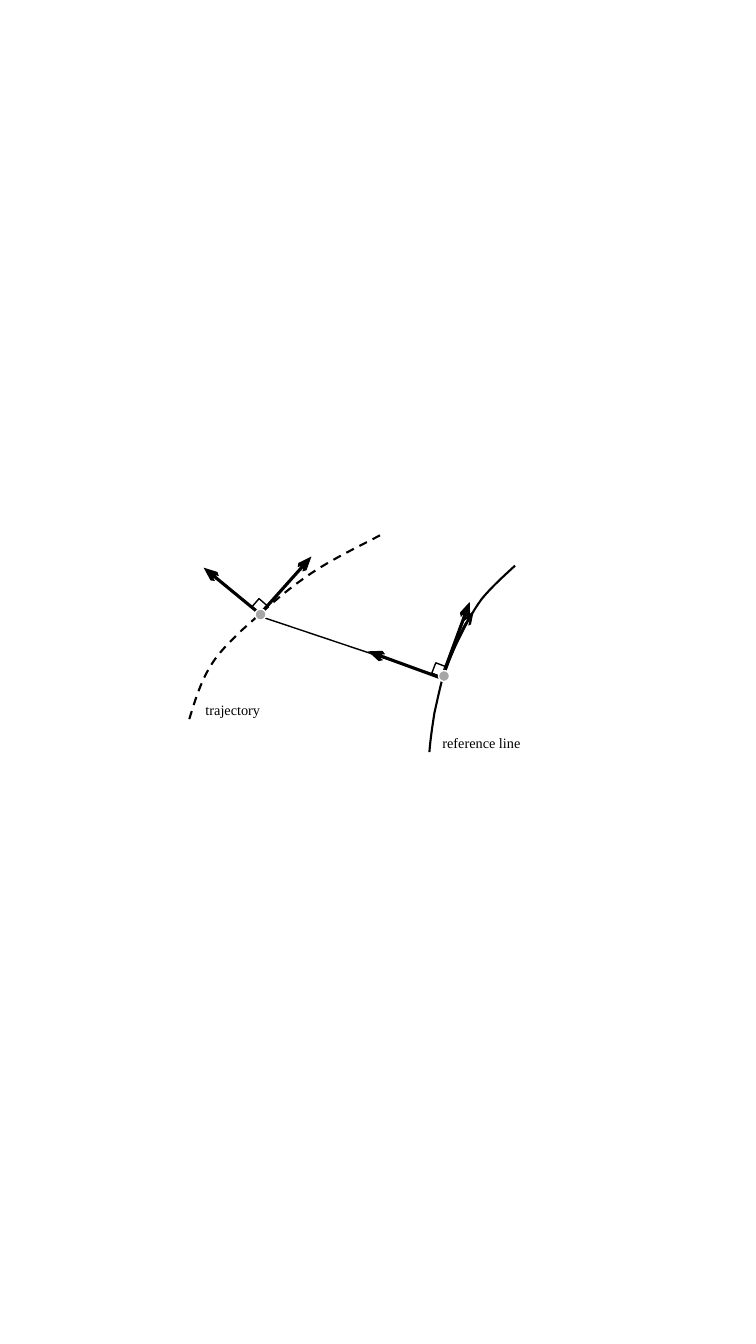
from lxml.etree import SubElement
from pptx import Presentation
from pptx.dml.color import RGBColor
from pptx.enum.dml import MSO_LINE
from pptx.enum.shapes import MSO_CONNECTOR, MSO_SHAPE
from pptx.enum.text import MSO_AUTO_SIZE
from pptx.oxml.ns import qn
from pptx.util import Emu, Pt

BLACK = RGBColor(0x00, 0x00, 0x00)
WHITE = RGBColor(0xFF, 0xFF, 0xFF)
GREY = RGBColor(0xA6, 0xA6, 0xA6)
PX = 9144  # 100 px to the inch
SLIDE_SIZE = (750, 1333)
MARK = 11  # side of the squares and diameter of the dots

# Curves: Bezier points, three for each segment after the start
TRAJECTORY = [(377, 531), (350, 545), (323, 558), (301, 574),
              (278, 590), (256, 611), (240, 625),
              (225, 640), (217, 647), (208, 662),
              (199, 677), (193, 696), (187, 716)]
REFERENCE_LINE = [(511, 561), (499, 572), (487, 583), (478, 594),
                  (469, 606), (462, 620), (456, 632),
                  (450, 644), (446, 654), (441, 666),
                  (437, 679), (434, 694), (431, 707),
                  (429, 720), (427, 733), (426, 746)]
CURVED_ARROW = [(440, 671), (445, 656), (451, 641), (456, 630),
                (461, 620), (465, 613), (470, 606)]

# Straight lines: start, end, width in points, has arrowhead
TRAJECTORY_AXES = [((258, 609), (309, 552), 2.25, True),
                   ((258, 609), (202, 563), 2.25, True)]
REFERENCE_AXES = [((436, 671), (260, 612), 1, False),
                  ((438, 673), (466, 597), 2.25, True),
                  ((439, 673), (365, 646), 2.25, True)]

# Right angle marks: left, top, rotation
TRAJECTORY_ANGLE = (252, 596, 41)
REFERENCE_ANGLE = (430, 659, 21)
DOTS = [(253, 604), (435, 665)]
LABELS = [("reference line", 429, 723, 98, 27),
          ("trajectory", 194, 691, 75, 27)]


def style_line(shape, color, width, arrow=False):
    shape.line.color.rgb = color
    shape.line.width = Pt(width)
    if arrow:
        SubElement(shape.line._get_or_add_ln(), qn("a:tailEnd"),
                   type="arrow", w="med", len="lg")


def add_curve(page, points, arrow=False):
    start, *others = [(x * PX, y * PX) for x, y in points]
    builder = page.shapes.build_freeform(*start)
    builder.add_line_segments(others, close=False)
    curve = builder.convert_to_shape()
    # Join every three straight segments into one Bezier segment
    segments = list(curve._element.iter(qn("a:lnTo")))
    outline = segments[0].getparent()
    for i in range(0, len(segments), 3):
        bezier = SubElement(outline, qn("a:cubicBezTo"))
        for segment in segments[i:i + 3]:
            bezier.append(segment[0])
            outline.remove(segment)
    curve.shadow.inherit = False
    curve.fill.background()
    style_line(curve, BLACK, 1.5, arrow)
    return curve


def add_lines(page, lines):
    for start, end, width, arrow in lines:
        ends = [Emu(value * PX) for value in start + end]
        line = page.shapes.add_connector(MSO_CONNECTOR.STRAIGHT, *ends)
        style_line(line, BLACK, width, arrow)
        SubElement(line._element.spPr, qn("a:effectLst"))


def add_mark(page, kind, left, top, line_color):
    mark = page.shapes.add_shape(kind, left * PX, top * PX, MARK * PX, MARK * PX)
    mark.shadow.inherit = False
    mark.fill.background()
    style_line(mark, line_color, 1)
    return mark


def add_right_angle(page, left, top, rotation):
    add_mark(page, MSO_SHAPE.RECTANGLE, left, top, BLACK).rotation = rotation


def add_label(page, text, *place):
    box = page.shapes.add_textbox(*(value * PX for value in place))
    frame = box.text_frame
    frame.text = text
    frame.word_wrap = False
    frame.auto_size = MSO_AUTO_SIZE.SHAPE_TO_FIT_TEXT
    font = frame.paragraphs[0].runs[0].font
    font.name = "Times New Roman"
    font.size = Pt(10.2)
    font.color.rgb = BLACK


def main():
    deck = Presentation()
    deck.slide_width, deck.slide_height = (Emu(side * PX) for side in SLIDE_SIZE)
    page = deck.slides.add_slide(deck.slide_layouts[6])

    # Trajectory with its axes
    add_lines(page, TRAJECTORY_AXES)
    add_right_angle(page, *TRAJECTORY_ANGLE)
    add_curve(page, TRAJECTORY).line.dash_style = MSO_LINE.DASH

    # Reference line with its axes
    add_lines(page, REFERENCE_AXES)
    add_curve(page, REFERENCE_LINE)
    add_curve(page, CURVED_ARROW, arrow=True)
    add_right_angle(page, *REFERENCE_ANGLE)

    # Labels and dots
    for label in LABELS:
        add_label(page, *label)
    for left, top in DOTS:
        dot = add_mark(page, MSO_SHAPE.OVAL, left, top, WHITE)
        dot.fill.solid()
        dot.fill.fore_color.rgb = GREY

    deck.save("out.pptx")


if __name__ == "__main__":
    main()
